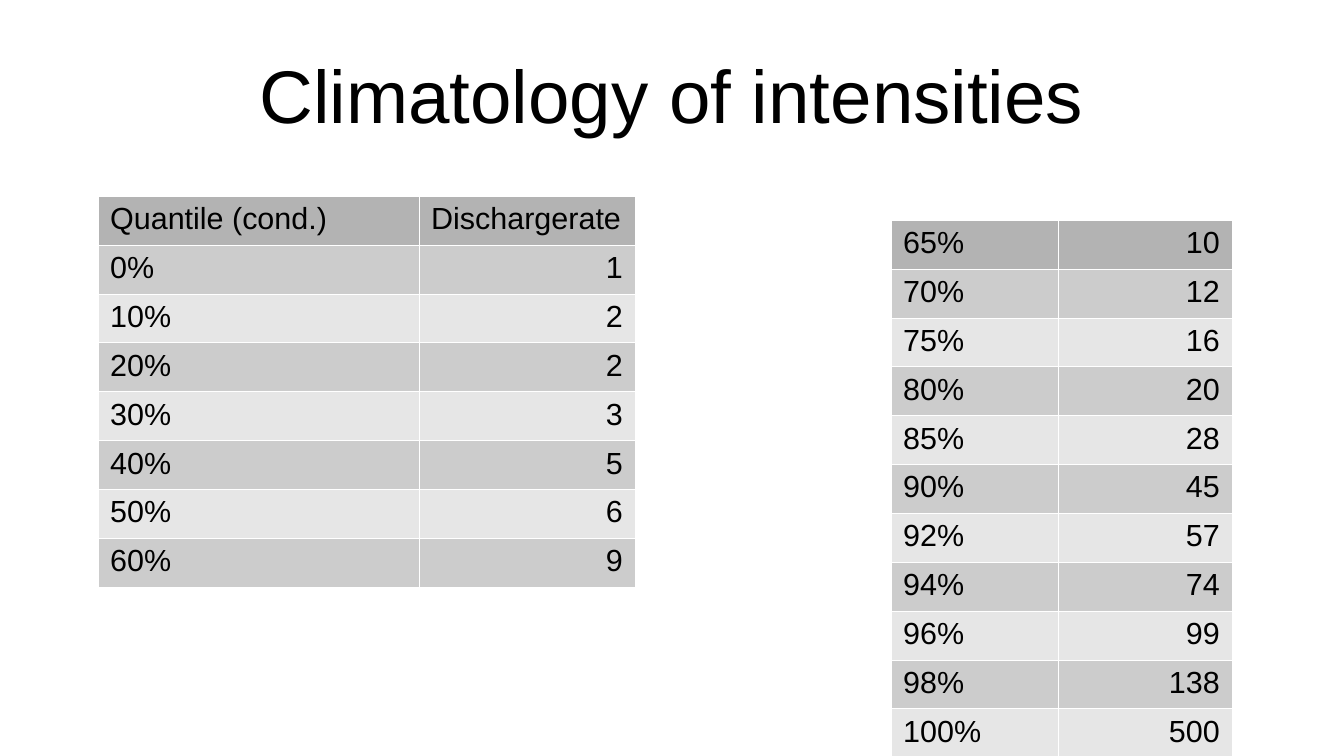
import pptx
import pptx.util
import pptx.dml.color
import pptx.enum.text
import pptx.oxml
import pptx.oxml.ns

ALIGN = pptx.enum.text.PP_ALIGN
ANCHOR = pptx.enum.text.MSO_ANCHOR
SCALE = 914400 / 122


def px(num):
    return pptx.util.Emu(round(num * SCALE))


def color(code):
    return pptx.dml.color.RGBColor.from_string(code)


def write(frame, text, size=18, align=ALIGN.LEFT, ink="000000", face="Arial"):
    para = frame.paragraphs[0]
    para.alignment = align
    run = para.add_run()
    run.text = text
    run.font.size = pptx.util.Pt(size)
    run.font.name = face
    run.font.color.rgb = color(ink)


class Deck:
    """Hold the table style and the current slide."""

    head = "B3B3B3"
    bands = ("CCCCCC", "E6E6E6")
    edge = "FFFFFF"

    def __init__(self, width, height):
        self.show = pptx.Presentation()
        self.show.slide_width = px(width)
        self.show.slide_height = px(height)
        self.slide = self.show.slides.add_slide(self.show.slide_layouts[6])

    def title(self, text, left, top, width, height):
        box = self.slide.shapes.add_textbox(px(left), px(top), px(width), px(height))
        frame = box.text_frame
        frame.word_wrap = True
        frame.vertical_anchor = ANCHOR.MIDDLE
        frame.margin_left = frame.margin_right = 0
        frame.margin_top = frame.margin_bottom = 0
        write(frame, text, size=44, align=ALIGN.CENTER)

    def border(self, cell):
        props = cell._tc.get_or_add_tcPr()
        space = pptx.oxml.ns.nsdecls("a")
        for spot, side in enumerate("LRTB"):
            line = pptx.oxml.parse_xml(
                f'<a:ln{side} {space} w="762"><a:solidFill>'
                f'<a:srgbClr val="{self.edge}"/></a:solidFill></a:ln{side}>')
            props.insert(spot, line)

    def table(self, rows, left, top, widths, height):
        grid = self.slide.shapes.add_table(
            len(rows), len(widths), px(left), px(top),
            px(sum(widths)), px(height * len(rows))).table
        for col, width in zip(grid.columns, widths):
            col.width = px(width)
        for i, row in enumerate(rows):
            fill = self.bands[(i - 1) % 2] if i else self.head
            for j, text in enumerate(row):
                cell = grid.cell(i, j)
                cell.fill.solid()
                cell.fill.fore_color.rgb = color(fill)
                self.border(cell)
                right = j == 1 and text.isdigit()
                write(cell.text_frame, text, align=ALIGN.RIGHT if right else ALIGN.LEFT)

    def save(self):
        self.show.save("out.pptx")


LOW = [("Quantile (cond.)", "Dischargerate"), ("0%", "1"), ("10%", "2"),
       ("20%", "2"), ("30%", "3"), ("40%", "5"), ("50%", "6"), ("60%", "9")]
HIGH = [("65%", "10"), ("70%", "12"), ("75%", "16"), ("80%", "20"),
        ("85%", "28"), ("90%", "45"), ("92%", "57"), ("94%", "74"),
        ("96%", "99"), ("98%", "138"), ("100%", "500")]


def main():
    deck = Deck(1344, 756)
    deck.title("Climatology of intensities", 67, 30, 1210, 127)
    deck.table(LOW, 98, 196, (321, 216), 48)
    deck.table(HIGH, 891, 220, (167, 174), 47)
    deck.save()


if __name__ == "__main__":
    main()
